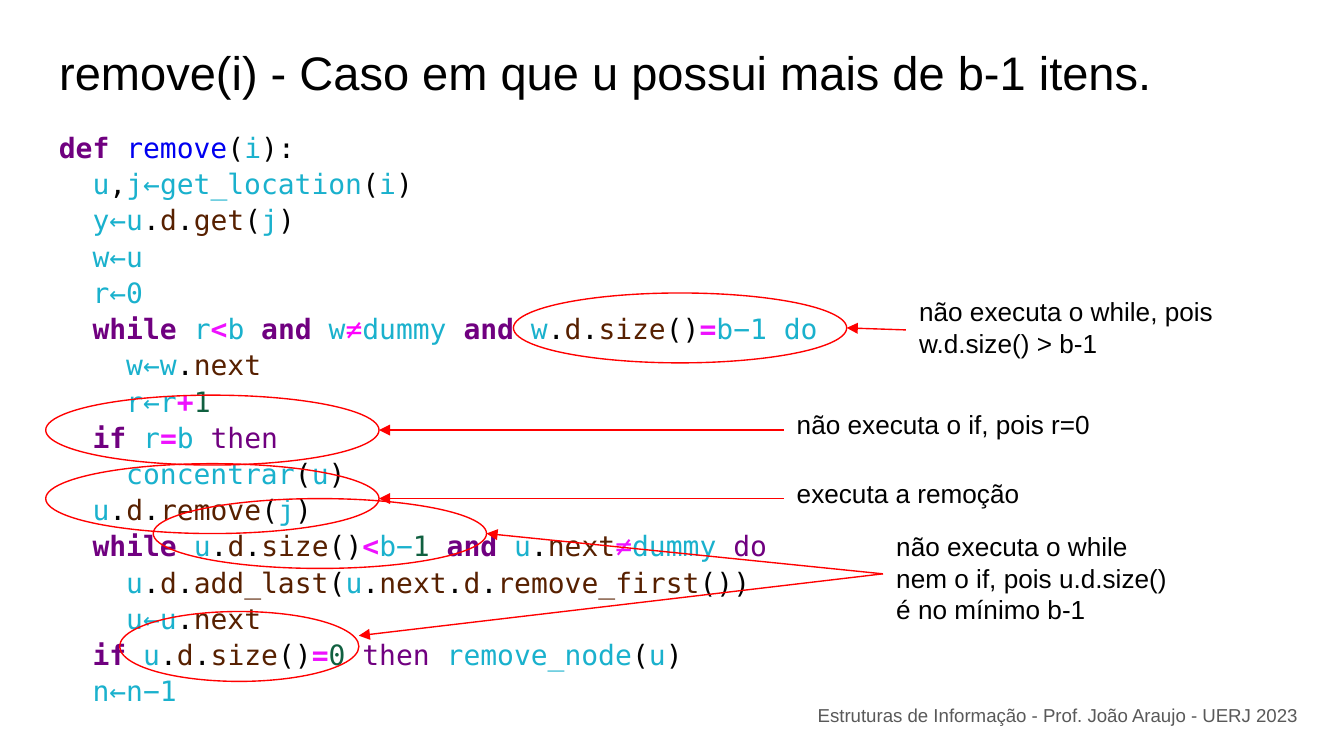
from dataclasses import dataclass
from pptx import Presentation
from pptx.dml.color import RGBColor
from pptx.enum.shapes import MSO_CONNECTOR, MSO_SHAPE
from pptx.enum.text import MSO_ANCHOR, MSO_AUTO_SIZE, PP_ALIGN
from pptx.oxml.ns import qn
from pptx.util import Inches, Pt
from lxml.etree import SubElement

COLS, ROWS = 100, 56.25
CELL = Inches(10) / COLS
RED = "FF0000"


@dataclass(frozen=True)
class Area:
    col: float
    row: float
    wide: float = 24.8
    high: float = 5.2

    @property
    def right(self) -> float:
        return self.col + self.wide

    @property
    def mid(self) -> float:
        return self.row + self.high / 2


@dataclass(frozen=True)
class Ring:
    area: Area
    lift: float = 0


@dataclass(frozen=True)
class Note:
    text: str
    area: Area
    rings: tuple[Ring, ...]


@dataclass(frozen=True)
class Style:
    color: str
    bold: bool = False


STYLES = {
    "K": Style("700080", True),
    "k": Style("700080"),
    "f": Style("0000F0"),
    "p": Style("000000"),
    "v": Style("1AB1CD"),
    "a": Style("572000"),
    "O": Style("EE11FF", True),
    "o": Style("EE11FF"),
    "m": Style("FF00FF"),
    "n": Style("106040"),
}

CODE = (
    "Kdef |fremove|p(|vi|p):",
    "v  u|p,|vj←get_location|p(|vi|p)",
    "v  y←u|p.|ad|p.|aget|p(|vj|p)",
    "v  w←u",
    "v  r←0",
    "K  while |vr|O<|vb |Kand |vw|m≠|vdummy |Kand |vw|p.|ad|p.|asize|p()|O=|vb−1 do",
    "v    w←w|p.|anext",
    "v    r←r|O+|n1",
    "K  if |vr|O=|vb |kthen",
    "v    concentrar|p(|vu|p)",
    "v  u|p.|ad|p.|aremove|p(|vj|p)",
    "K  while |vu|p.|ad|p.|asize|p()|O<|vb−|n1 |Kand |vu|p.|anext|o≠|vdummy |kdo",
    "v    u|p.|ad|p.|aadd_last|p(|vu|p.|anext|p.|ad|p.|aremove_first|p())",
    "v    u←u|p.|anext",
    "K  if |vu|p.|ad|p.|asize|p()|O=|n0 |kthen |vremove_node|p(|vu|p)",
    "v  n←n−1",
)

NOTES = (
    Note("não executa o while, pois w.d.size() > b-1",
         Area(67.4, 21, 30.6, 7.1), (Ring(Area(38.2, 21.8)),)),
    Note("não executa o if, pois r=0",
         Area(58.3, 29.4, 30.6), (Ring(Area(3.4, 29.4)),)),
    Note("executa a remoção",
         Area(58.3, 34.5, 30.6), (Ring(Area(3.4, 34.5)),)),
    Note("não executa o while nem o if, pois u.d.size() é no mínimo b-1",
         Area(65.7, 38.5, 23.2, 8.4),
         (Ring(Area(11.4, 37.1)), Ring(Area(8.9, 45.5, 17.8), 0.8))),
)


def span(cells: float) -> int:
    return round(cells * CELL)


def spots(area: Area) -> tuple[int, ...]:
    return tuple(map(span, (area.col, area.row, area.wide, area.high)))


def paint(color: str) -> RGBColor:
    return RGBColor.from_string(color)


def font(item, name: str, size: float, style: Style) -> None:
    item.font.name = name
    item.font.size = Pt(size)
    item.font.bold = style.bold
    item.font.color.rgb = paint(style.color)


def frame(shape):
    body = shape.text_frame
    body.word_wrap = True
    body.auto_size = MSO_AUTO_SIZE.NONE
    body.vertical_anchor = MSO_ANCHOR.TOP
    body.margin_left = body.margin_right = span(1)
    body.margin_top = body.margin_bottom = span(1)
    return body


def write(shape, text: str, size: float, color: str = "000000", align=PP_ALIGN.LEFT) -> None:
    body = frame(shape)
    body.text = text
    line = body.paragraphs[0]
    line.alignment = align
    font(line.runs[0], "Arial", size, Style(color))


def box(slide, area: Area):
    return slide.shapes.add_textbox(*spots(area))


def head(slide, text: str, area: Area) -> None:
    title = slide.shapes.title
    title.left, title.top, title.width, title.height = spots(area)
    write(title, text, 25.2)
    title.text_frame.vertical_anchor = MSO_ANCHOR.MIDDLE


def code(slide, area: Area) -> None:
    para = frame(box(slide, area)).paragraphs[0]
    para.line_spacing = 1.08
    para.space_after = Pt(12)
    for i, line in enumerate(CODE):
        if i:
            para.add_line_break()
        for part in line.split("|"):
            run = para.add_run()
            run.text = part[1:]
            font(run, "DejaVu Sans Mono", 15, STYLES[part[0]])
    for gap in para._p.findall(qn("a:br")):
        SubElement(gap, qn("a:rPr"), sz="1500")


def edge(shape) -> None:
    shape.line.color.rgb = paint(RED)
    shape.line.width = Pt(0.75)


def ring(slide, area: Area) -> None:
    oval = slide.shapes.add_shape(MSO_SHAPE.OVAL, *spots(area))
    oval.shadow.inherit = False
    oval.fill.background()
    edge(oval)


def arrow(slide, start: Area, end: Ring) -> None:
    ends = (start.col, start.mid, end.area.right, end.area.mid - end.lift)
    link = slide.shapes.add_connector(MSO_CONNECTOR.STRAIGHT, *map(span, ends))
    edge(link)
    SubElement(link.line._get_or_add_ln(), qn("a:tailEnd"), type="triangle")
    SubElement(link._element.spPr, qn("a:effectLst"))


def main() -> None:
    deck = Presentation()
    deck.slide_width, deck.slide_height = span(COLS), span(ROWS)
    slide = deck.slides.add_slide(deck.slide_layouts[5])
    write(box(slide, Area(56.4, 51.4, 41.1, 3)),
          "Estruturas de Informação - Prof. João Araujo - UERJ 2023",
          10, "595959", PP_ALIGN.RIGHT)
    head(slide, "remove(i) - Caso em que u possui mais de b-1 itens.",
         Area(3.4, 2.2, 93.2, 6.3))
    code(slide, Area(3.4, 8.5, 60.6, 45.5))
    for note in NOTES:
        write(box(slide, note.area), note.text, 14)
        for mark in note.rings:
            ring(slide, mark.area)
            arrow(slide, note.area, mark)
    deck.save("out.pptx")


if __name__ == "__main__":
    main()
